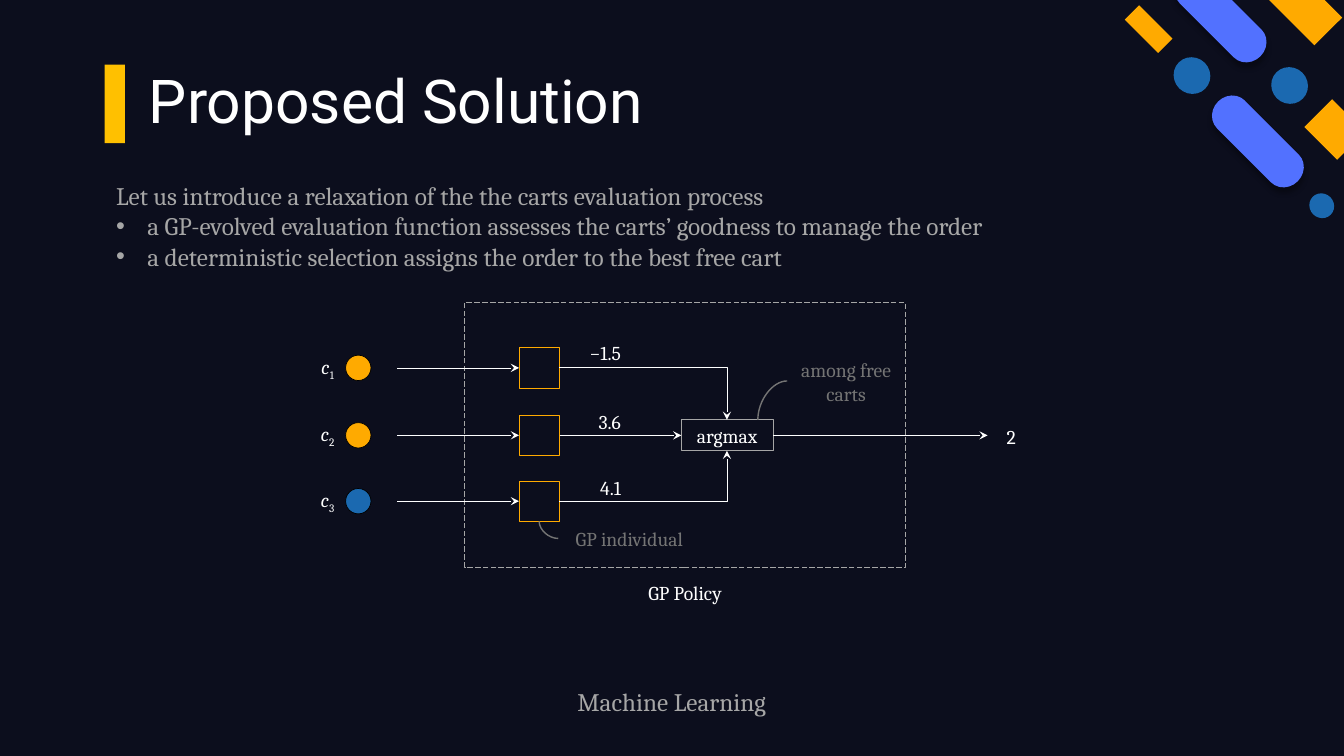
from dataclasses import dataclass

import lxml.etree
import pptx
import pptx.dml.color
import pptx.enum.dml
import pptx.enum.shapes
import pptx.enum.text
import pptx.oxml.ns
import pptx.util

Cm = pptx.util.Cm
Pt = pptx.util.Pt
RGB = pptx.dml.color.RGBColor.from_string
qn = pptx.oxml.ns.qn
MSO = pptx.enum.shapes.MSO_SHAPE
LINK = pptx.enum.shapes.MSO_CONNECTOR
ALIGN = pptx.enum.text.PP_ALIGN
ANCHOR = pptx.enum.text.MSO_ANCHOR


@dataclass(frozen=True)
class Theme:
    night: str = "0C0E1D"
    white: str = "FFFFFF"
    black: str = "000000"
    silver: str = "A6A6A6"
    grey: str = "747474"
    gold: str = "FFC000"
    orange: str = "FFAA00"
    indigo: str = "5271FF"
    blue: str = "1B69B0"
    heading: str = "Roboto"
    text: str = "Cambria"
    title_size: float = 43.2
    body_size: float = 18
    label_size: float = 14
    thin: float = 0.5
    thick: float = 1


T = Theme()


def write(sp, text, size=T.label_size, color=T.white, font=T.text,
          align=ALIGN.CENTER, anchor=ANCHOR.MIDDLE, spacing=1.0,
          italic=False, sub="", inset=None):
    tf = sp.text_frame
    tf.word_wrap = True
    tf.auto_size = pptx.enum.text.MSO_AUTO_SIZE.NONE
    tf.vertical_anchor = anchor
    if inset is not None:
        tf.margin_left = tf.margin_right = Cm(inset)
        tf.margin_top = tf.margin_bottom = Cm(inset)
    for i, line in enumerate(text.split("\n")):
        p = tf.add_paragraph() if i else tf.paragraphs[0]
        p.alignment = align
        p.line_spacing = spacing
        p.space_before = Pt(0)
        for part in filter(None, (line, sub)):
            r = p.add_run()
            r.text = part
            r.font.name = font
            r.font.size = Pt(size)
            r.font.color.rgb = RGB(color)
            r.font.italic = italic and part == line
            if part == sub:
                r.font._element.set("baseline", "-25000")


def draw(kind, box, fill=None, line=None):
    sp = s.shapes.add_shape(kind, *map(Cm, box))
    sp.shadow.inherit = False
    if fill:
        sp.fill.solid()
        sp.fill.fore_color.rgb = RGB(fill)
    else:
        sp.fill.background()
    if line:
        sp.line.color.rgb = RGB(line)
        sp.line.width = Pt(T.thin)
    else:
        sp.line.fill.background()
    return sp


prs = pptx.Presentation()
prs.slide_width, prs.slide_height = Cm(33.87), Cm(19.05)
s = prs.slides.add_slide(prs.slide_layouts[1])
s.background.fill.solid()
s.background.fill.fore_color.rgb = RGB(T.night)

title, body = s.placeholders
for sp, box in ((title, (3.5, 1.63, 27.2, 1.96)), (body, (2.67, 4.42, 28.6, 2.57))):
    sp.left, sp.top, sp.width, sp.height = map(Cm, box)
write(title, "Proposed Solution", size=T.title_size, font=T.heading,
      align=ALIGN.LEFT, spacing=0.9)
write(body, "Let us introduce a relaxation of the the carts evaluation process\n"
      "a GP-evolved evaluation function assesses the carts’ goodness to manage the order\n"
      "a deterministic selection assigns the order to the best free cart",
      size=T.body_size, color=T.silver, align=ALIGN.LEFT, anchor=ANCHOR.TOP)
for i, p in enumerate(body.text_frame.paragraphs):
    pPr = p._p.get_or_add_pPr()
    indent = Cm(0.79) if i else 0
    pPr.set("marL", str(indent))
    pPr.set("indent", str(-indent))
    if i:
        lxml.etree.SubElement(pPr, qn("a:buFont")).set("typeface", "Arial")
        lxml.etree.SubElement(pPr, qn("a:buChar")).set("char", "•")
    else:
        lxml.etree.SubElement(pPr, qn("a:buNone"))

draw(MSO.RECTANGLE, (2.64, 1.63, 0.51, 1.98), T.gold)
PILL = MSO.FLOWCHART_TERMINATOR
for kind, box, fill in (
    (PILL, (29.34, -0.08, 2.84, 0.99), T.indigo),
    (PILL, (30.28, 3.07, 2.84, 0.99), T.indigo),
    (MSO.RECTANGLE, (33.05, 2.77, 1.17, 0.99), T.orange),
    (MSO.RECTANGLE, (28.35, 0.48, 1.19, 0.51), T.orange),
    (MSO.RECTANGLE, (31.52, -0.51, 2.29, 0.99), T.orange),
    (MSO.OVAL, (29.57, 1.45, 0.94, 0.91), T.blue),
    (MSO.OVAL, (32.03, 1.7, 0.94, 0.91), T.blue),
    (MSO.OVAL, (32.99, 4.88, 0.64, 0.61), T.blue),
):
    sp = draw(kind, box, fill)
    sp.rotation = 45
    if kind == PILL:
        effects = sp._element.spPr.find(qn("a:effectLst"))
        shadow = lxml.etree.SubElement(effects, qn("a:outerShdw"), blurRad=str(Pt(4)),
                                       dist=str(Pt(4)), dir="5400000", rotWithShape="0")
        black = lxml.etree.SubElement(shadow, qn("a:srgbClr"), val=T.black)
        lxml.etree.SubElement(black, qn("a:alpha"), val="32000")

frame = draw(MSO.RECTANGLE, (11.71, 7.62, 11.1, 6.68), line=T.silver)
frame.line.dash_style = pptx.enum.dml.MSO_LINE.LONG_DASH
argmax = draw(MSO.RECTANGLE, (17.17, 10.58, 2.31, 0.78), line=T.silver)
write(argmax, "argmax")

rows = (9.27, 10.97, 12.63)
values = (("−1.5", 8.48), ("3.6", 10.24), ("4.1", 11.89))
cart_colors = (T.orange, T.orange, T.blue)
boxes = []
for i, (y, (value, value_top), color) in enumerate(zip(rows, values, cart_colors), 1):
    boxes.append(draw(MSO.RECTANGLE, (13.08, y - 0.51, 1.02, 1.02), line=T.orange))
    draw(MSO.OVAL, (8.71, y - 0.32, 0.64, 0.64), color, T.black)
    write(s.shapes.add_textbox(Cm(7.77), Cm(y - 0.3), Cm(0.97), Cm(0.61)),
          "c", italic=True, sub=str(i), inset=0)
    write(s.shapes.add_textbox(Cm(14.1), Cm(value_top), Cm(1.8), Cm(0.79)),
          value, align=ALIGN.RIGHT)

top, middle, bottom = rows
arrows = [(None, (10.01, y, 13.08, y), None, (box, 1)) for y, box in zip(rows, boxes)]
arrows += [
    (None, (14.1, middle, 17.17, middle), (boxes[1], 3), (argmax, 1)),
    (None, (19.48, middle, 24.89, middle), (argmax, 3), None),
    ("bentConnector2", (14.1, top, 18.32, 10.58), None, None),
    ("bentConnector2", (14.1, bottom, 18.32, 11.36), None, None),
    ("curvedConnector2", (14.07, 13.57, 13.59, 13.14), None, None),
    ("curvedConnector2", (19.84, 9.6, 19.1, 10.58), None, None),
]
for preset, ends, begin, end in arrows:
    cx = s.shapes.add_connector(LINK.ELBOW if preset else LINK.STRAIGHT, *map(Cm, ends))
    if preset:
        cx._element.spPr.find(qn("a:prstGeom")).set("prst", preset)
    if begin:
        cx.begin_connect(*begin)
    if end:
        cx.end_connect(*end)
    curved = preset == "curvedConnector2"
    cx.line.color.rgb = RGB(T.grey if curved else T.white)
    cx.line.width = Pt(T.thick if curved else T.thin)
    if not curved:
        lxml.etree.SubElement(cx.line._get_or_add_ln(), qn("a:tailEnd"), type="stealth")
    lxml.etree.SubElement(cx._element.spPr, qn("a:effectLst"))

for text, box, color, size in (
    ("2", (24.89, 10.62, 1.19, 0.79), T.white, T.label_size),
    ("GP individual", (14.07, 13.18, 3.58, 0.79), T.grey, T.label_size),
    ("among free\ncarts", (19.84, 9.17, 2.97, 0.89), T.grey, T.label_size),
    ("GP Policy", (15.65, 14.5, 3.23, 0.86), T.white, T.label_size),
    ("Machine Learning", (13.97, 17.17, 5.92, 1.02), T.silver, T.body_size),
):
    write(s.shapes.add_textbox(*map(Cm, box)), text, color=color, size=size)

prs.save("out.pptx")
